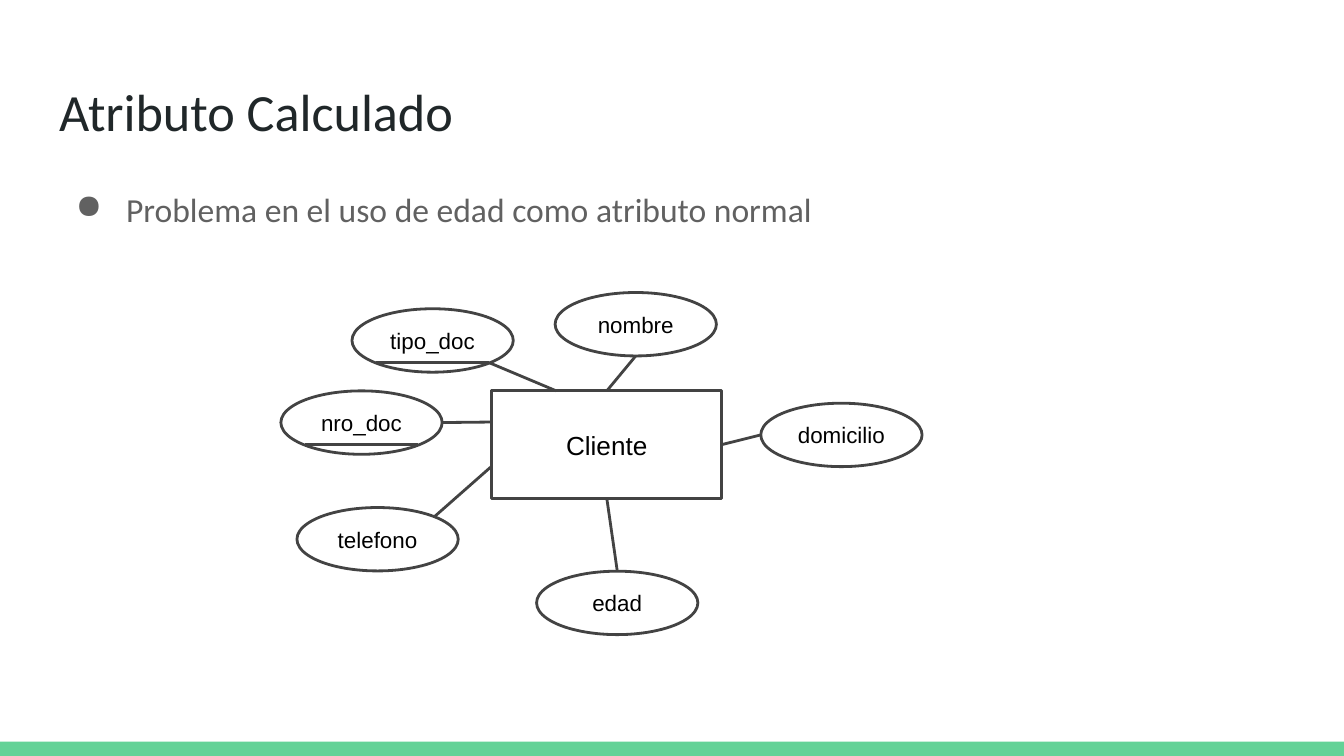
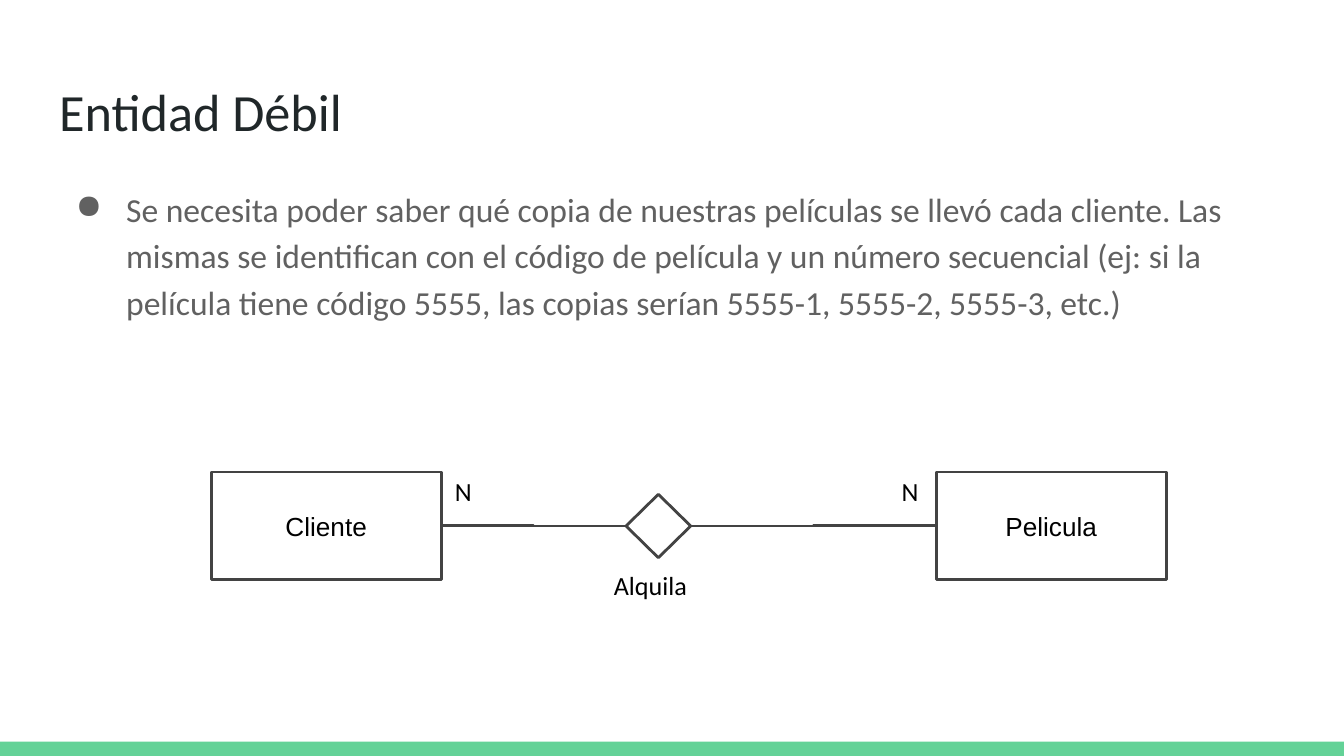
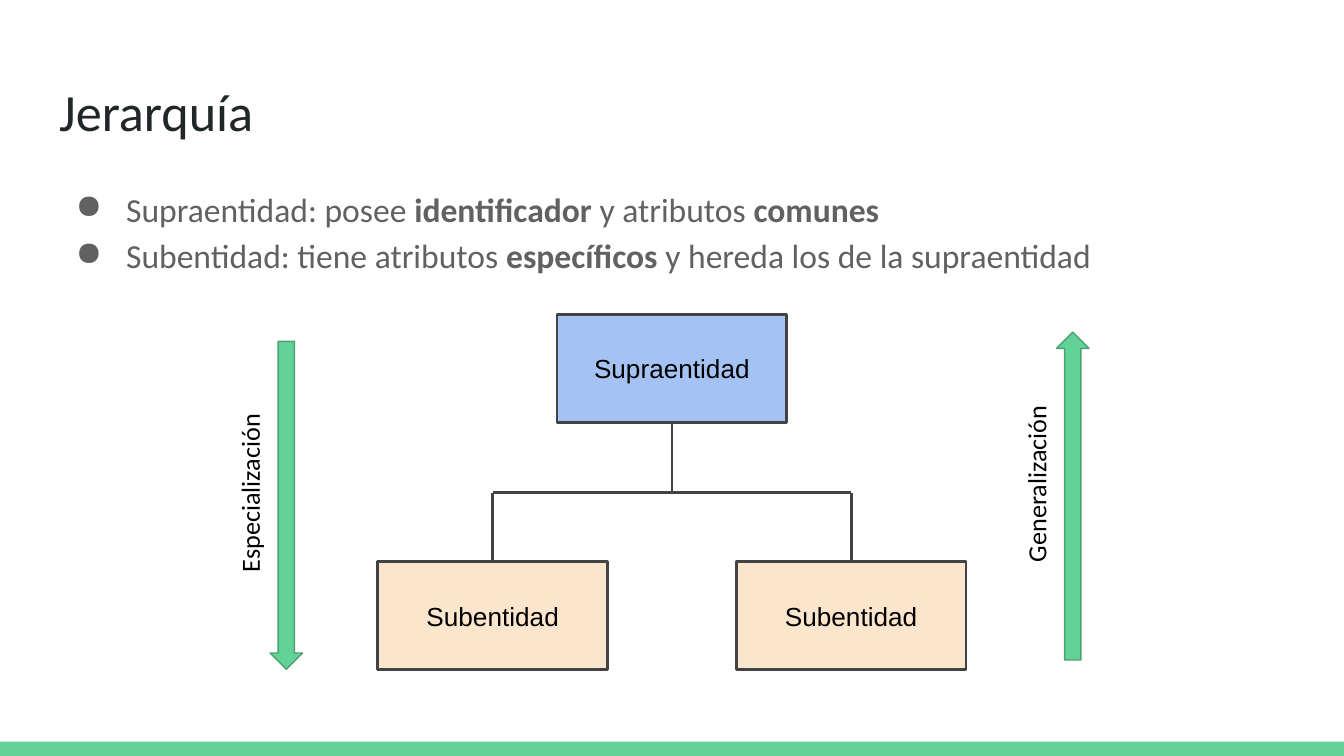
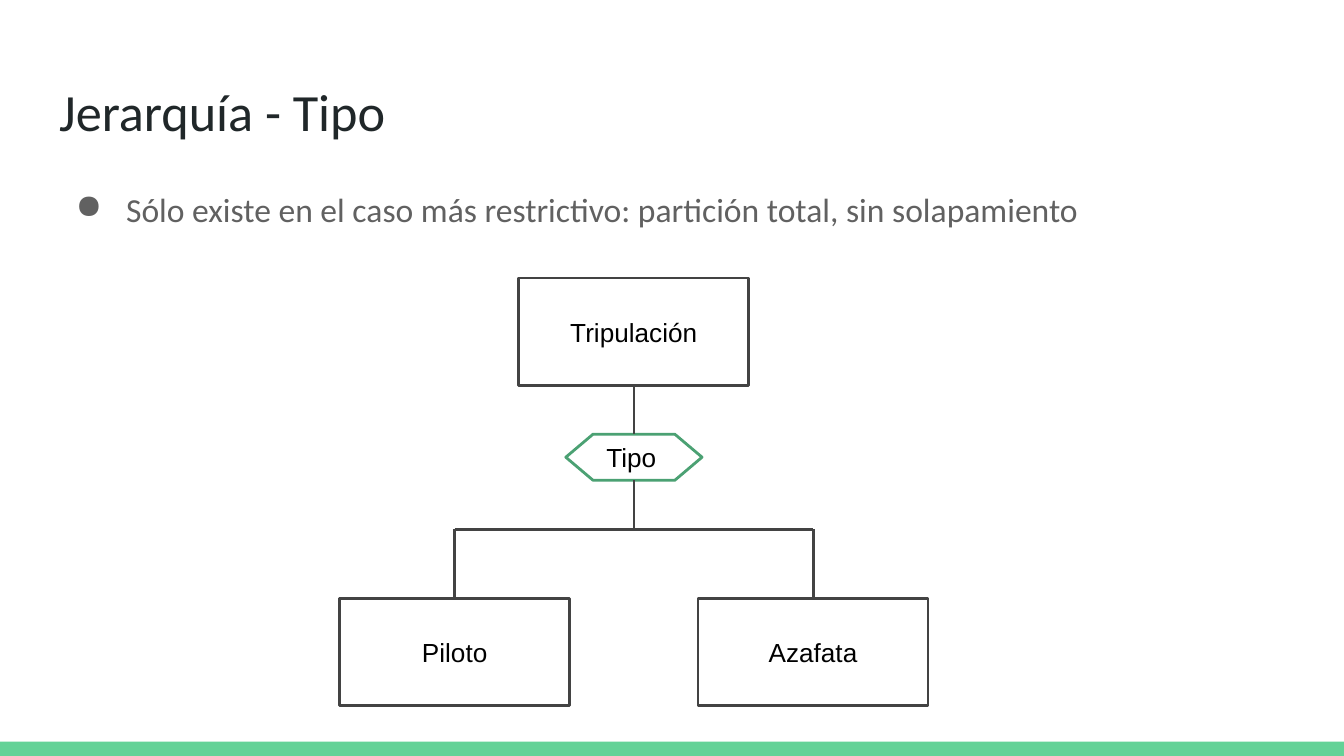
from dataclasses import dataclass

import pptx
import pptx.dml.color
import pptx.enum.shapes
import pptx.enum.text
import pptx.util
from lxml import etree
from pptx.oxml.ns import qn

Pt = pptx.util.Pt
Shape = pptx.enum.shapes.MSO_SHAPE
Connector = pptx.enum.shapes.MSO_CONNECTOR
Align = pptx.enum.text.PP_ALIGN
Anchor = pptx.enum.text.MSO_ANCHOR

COLORS = {
    "band": "63D297",
    "band_edge": "4BA173",
    "title": "202729",
    "body": "616161",
    "line": "434343",
    "label": "000000",
    "supra": "A4C2F4",
    "sub": "FCE5CD",
}
SLIDE_WIDTH, SLIDE_HEIGHT = 720, 405
BAND_HEIGHT = 7.7
MARGIN = 24.5
CONTENT_WIDTH = SLIDE_WIDTH - 2 * MARGIN
INSET = 7.2
ENTITY_WIDTH, ENTITY_HEIGHT = 123.2, 57.6
ATTRIBUTE_WIDTH, ATTRIBUTE_HEIGHT = 86.4, 34
LEAF_OFFSET = 96
LEAF_DROP = 37
ARROW_WIDTH, ARROW_HEIGHT = 17.4, 175.7
NEAR, FAR = 0.15, 0.85  # where an ellipse's diagonals cross its outline

Point = tuple[float, float]


@dataclass(frozen=True)
class Node:
    """A diagram element with its place and look, in points."""
    text: str
    left: float
    top: float
    width: float = ENTITY_WIDTH
    height: float = ENTITY_HEIGHT
    kind: Shape = Shape.RECTANGLE
    fill: str | None = None
    line: str = "line"
    weight: float = 1.5
    size: float = 14
    align: Align = Align.CENTER

    def at(self, across: float, down: float) -> Point:
        """Point at the given fractions of the width and height."""
        return self.left + across * self.width, self.top + down * self.height


def attribute(text: str, left: float, top: float) -> Node:
    return Node(text, left, top, ATTRIBUTE_WIDTH, ATTRIBUTE_HEIGHT, Shape.OVAL, size=12)


def rgb(name: str) -> pptx.dml.color.RGBColor:
    return pptx.dml.color.RGBColor.from_string(COLORS[name])


def add_bullet(para, color: str) -> None:
    properties = para._p.get_or_add_pPr()
    properties.set("marL", str(Pt(36)))
    properties.set("indent", str(Pt(-27)))
    bullet_color = etree.SubElement(properties, qn("a:buClr"))
    etree.SubElement(bullet_color, qn("a:srgbClr")).set("val", COLORS[color])
    etree.SubElement(properties, qn("a:buChar")).set("char", "●")


def write(frame, text: str, *, size: float = 14, font: str = "Calibri", color: str = "label",
          align: Align = Align.LEFT, anchor: Anchor = Anchor.TOP,
          spacing: float | None = None, bullet: bool = False) -> None:
    """Fill a frame, one paragraph a line; words between asterisks are bold."""
    frame.word_wrap = True
    frame.auto_size = pptx.enum.text.MSO_AUTO_SIZE.NONE
    frame.vertical_anchor = anchor
    frame.margin_left = frame.margin_right = Pt(INSET)
    frame.margin_top = frame.margin_bottom = Pt(INSET)
    for index, line in enumerate(text.split("\n")):
        para = frame.add_paragraph() if index else frame.paragraphs[0]
        para.alignment = align
        if spacing:
            para.line_spacing = spacing
        if bullet:
            add_bullet(para, color)
        for position, piece in enumerate(line.split("*")):
            if piece:
                span = para.add_run()
                span.text = piece
                span.font.size = Pt(size)
                span.font.name = font
                span.font.bold = position % 2 == 1
                span.font.color.rgb = rgb(color)


def add_text(shapes, text: str, left: float, top: float, width: float, height: float, **style):
    box = shapes.add_textbox(Pt(left), Pt(top), Pt(width), Pt(height))
    write(box.text_frame, text, **style)
    return box


def draw(shapes, node: Node):
    box = shapes.add_shape(node.kind, Pt(node.left), Pt(node.top), Pt(node.width), Pt(node.height))
    box.shadow.inherit = False
    if node.fill:
        box.fill.solid()
        box.fill.fore_color.rgb = rgb(node.fill)
    else:
        box.fill.background()
    box.line.color.rgb = rgb(node.line)
    box.line.width = Pt(node.weight)
    if node.text:
        write(box.text_frame, node.text, size=node.size, font="Arial",
              align=node.align, anchor=Anchor.MIDDLE)
    return box


def link(shapes, start: Point, end: Point, kind: Connector = Connector.STRAIGHT) -> None:
    line = shapes.add_connector(kind, *(Pt(value) for value in start + end))
    line.line.color.rgb = rgb("line")
    line.line.width = Pt(1.5)
    etree.SubElement(line._element.spPr, qn("a:effectLst"))


def add_band(slide, layout) -> None:
    """Draw the bottom band and move it to the shared layout."""
    band = slide.shapes.add_shape(Shape.RECTANGLE, 0, Pt(SLIDE_HEIGHT - BAND_HEIGHT),
                                  Pt(SLIDE_WIDTH), Pt(BAND_HEIGHT))
    band.shadow.inherit = False
    band.fill.solid()
    band.fill.fore_color.rgb = rgb("band")
    band.line.fill.background()
    layout.shapes.element.append(band.element)


def add_slide(deck, title: str, body: str, body_width: float = CONTENT_WIDTH):
    layout = deck.slide_layouts[5]
    slide = deck.slides.add_slide(layout)
    if len(deck.slides) == 1:
        add_band(slide, layout)
    heading = slide.shapes.title
    heading.left, heading.top = Pt(MARGIN), Pt(35.3)
    heading.width, heading.height = Pt(CONTENT_WIDTH), Pt(45.4)
    write(heading.text_frame, title, size=28, color="title")
    add_text(slide.shapes, body, MARGIN, 90.7, body_width, 39.6,
             size=18, color="body", spacing=1.15, bullet=True)
    return slide


def add_hierarchy(slide, root: Node, leaves: tuple[str, str], leaf_top: float,
                  leaf_fill: str | None = None, selector: Node | None = None) -> None:
    """Draw a root entity over two leaves, with an optional selector on the stem."""
    shapes = slide.shapes.add_group_shape().shapes
    draw(shapes, root)
    center, stem_top = root.at(0.5, 1)
    bar = leaf_top - LEAF_DROP
    if selector:
        draw(shapes, selector)
        link(shapes, (center, stem_top), selector.at(0.5, 0))
        stem_top = selector.top + selector.height
    link(shapes, (center, stem_top), (center, bar))
    link(shapes, (center - LEAF_OFFSET, bar), (center + LEAF_OFFSET, bar))
    for text, offset in zip(leaves, (-LEAF_OFFSET, LEAF_OFFSET)):
        leaf = Node(text, root.left + offset, leaf_top, fill=leaf_fill)
        draw(shapes, leaf)
        link(shapes, (center + offset, bar), leaf.at(0.5, 0))


def add_direction(slide, label: str, left: float, top: float, rotation: float) -> None:
    """Draw a vertical block arrow with its label turned along its left side."""
    shapes = slide.shapes.add_group_shape().shapes
    arrow = Node("", left, top, ARROW_WIDTH, ARROW_HEIGHT, Shape.DOWN_ARROW,
                 fill="band", line="band_edge", weight=0.75)
    draw(shapes, arrow).rotation = rotation
    width, height = 168, 40.3
    middle = top + ARROW_HEIGHT / 2 - 6.5
    box = add_text(shapes, label, left - 6.5 - width / 2, middle - height / 2,
                   width, height, align=Align.CENTER)
    box.rotation = 270


def add_calculated_attribute(deck) -> None:
    slide = add_slide(deck, "Atributo Calculado",
                      "Problema en el uso de edad como atributo normal")
    shapes = slide.shapes.add_group_shape().shapes
    client = Node("Cliente", 263.5, 209.4)
    doc_type = attribute("tipo_doc", 188.6, 165.4)
    doc_number = attribute("nro_doc", 150.5, 209.4)
    address = attribute("domicilio", 407.6, 216)
    age = attribute("edad", 287.5, 306)
    phone = attribute("telefono", 159.1, 271.9)
    name = attribute("nombre", 297.4, 156.7)
    for node in (client, doc_type, doc_number, address, age, phone, name):
        draw(shapes, node)
    for key in (doc_type, doc_number):
        link(shapes, key.at(NEAR, FAR), key.at(FAR, FAR))
    for start, end in (
        (doc_type.at(FAR, FAR), client.at(0.28, 0)),
        (doc_number.at(1, 0.5), client.at(0, 0.29)),
        (client.at(1, 0.5), address.at(0, 0.5)),
        (client.at(0, 0.7), phone.at(FAR, NEAR)),
        (age.at(0.5, 0), client.at(0.5, 1)),
        (name.at(0.5, 1), client.at(0.5, 0)),
    ):
        link(shapes, start, end)


def add_weak_entity(deck) -> None:
    slide = add_slide(
        deck, "Entidad Débil",
        "Se necesita poder saber qué copia de nuestras películas se llevó cada cliente. "
        "Las mismas se identifican con el código de película y un número secuencial "
        "(ej: si la película tiene código 5555, las copias serían 5555-1, 5555-2, 5555-3, etc.)")
    shapes = slide.shapes.add_group_shape().shapes
    client = Node("Cliente", 113.2, 252.9)
    film = Node("Pelicula", 501.6, 252.9)
    rents = Node("", 335.4, 264.8, 34.6, 34, Shape.FLOWCHART_DECISION)
    for node in (client, film, rents):
        draw(shapes, node)
    link(shapes, client.at(1, 0.5), rents.at(0, 0.5), Connector.ELBOW)
    link(shapes, rents.at(1, 0.5), film.at(0, 0.5), Connector.ELBOW)
    add_text(shapes, "Alquila", 321.8, 298.1, 432, 50.4)
    for left in (476, 236.6):
        add_text(shapes, "N", left, 247.7, 21.6, 33.8)


def add_hierarchy_overview(deck) -> None:
    slide = add_slide(deck, "Jerarquía",
                      "Supraentidad: posee *identificador* y atributos *comunes*\n"
                      "Subentidad: tiene atributos *específicos *y hereda los de la supraentidad")
    add_hierarchy(slide, Node("Supraentidad", 298.4, 168.6, fill="supra"),
                  ("Subentidad", "Subentidad"), 301, leaf_fill="sub")
    add_direction(slide, "Especialización", 144.7, 182.9, 0)
    add_direction(slide, "Generalización", 566, 177.9, 180)


def add_hierarchy_type(deck) -> None:
    slide = add_slide(deck, "Jerarquía - Tipo",
                      "Sólo existe en el caso más restrictivo: partición total, sin solapamiento",
                      body_width=630)
    selector = Node("Tipo", 303.1, 232.6, 73, 24.7, Shape.FLOWCHART_PREPARATION,
                    line="band_edge", align=Align.LEFT)
    add_hierarchy(slide, Node("Tripulación", 278, 149), ("Piloto", "Azafata"), 320.6,
                  selector=selector)


def main() -> None:
    deck = pptx.Presentation()
    deck.slide_width, deck.slide_height = Pt(SLIDE_WIDTH), Pt(SLIDE_HEIGHT)
    add_calculated_attribute(deck)
    add_weak_entity(deck)
    add_hierarchy_overview(deck)
    add_hierarchy_type(deck)
    deck.save("out.pptx")


if __name__ == "__main__":
    main()
